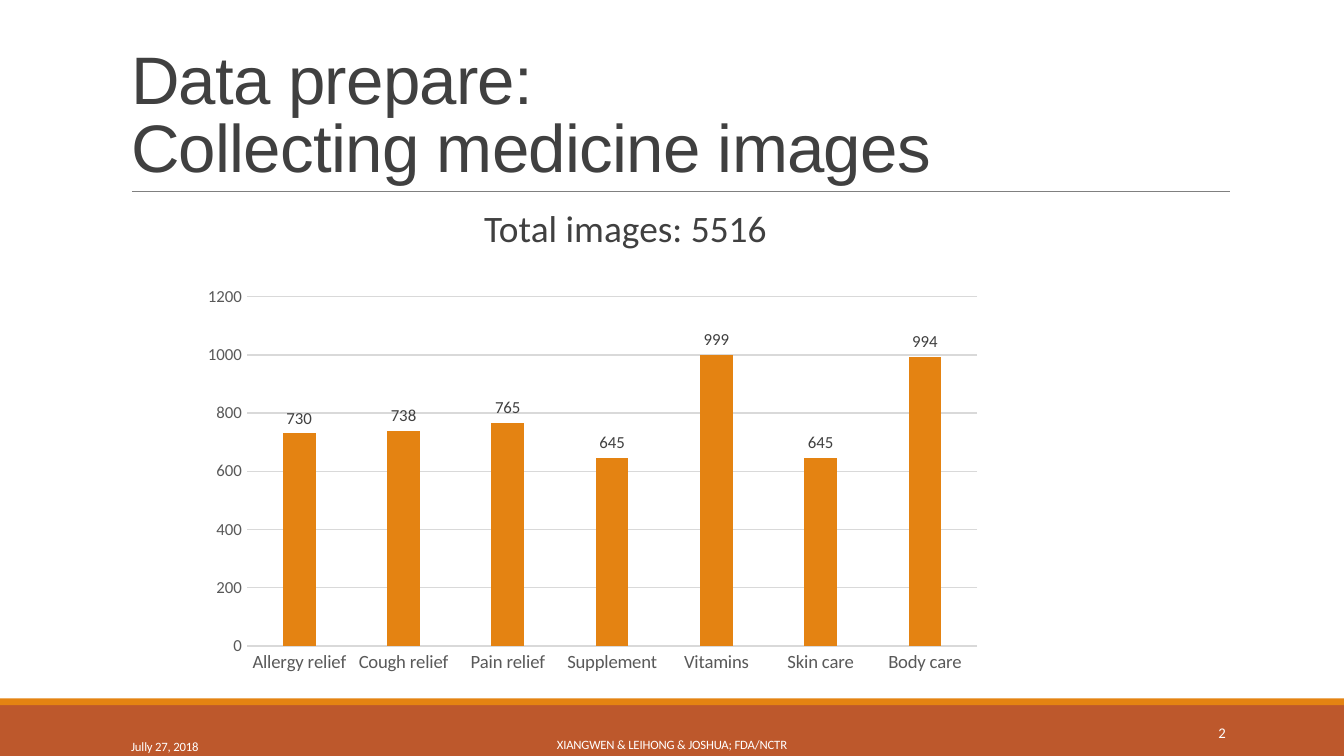
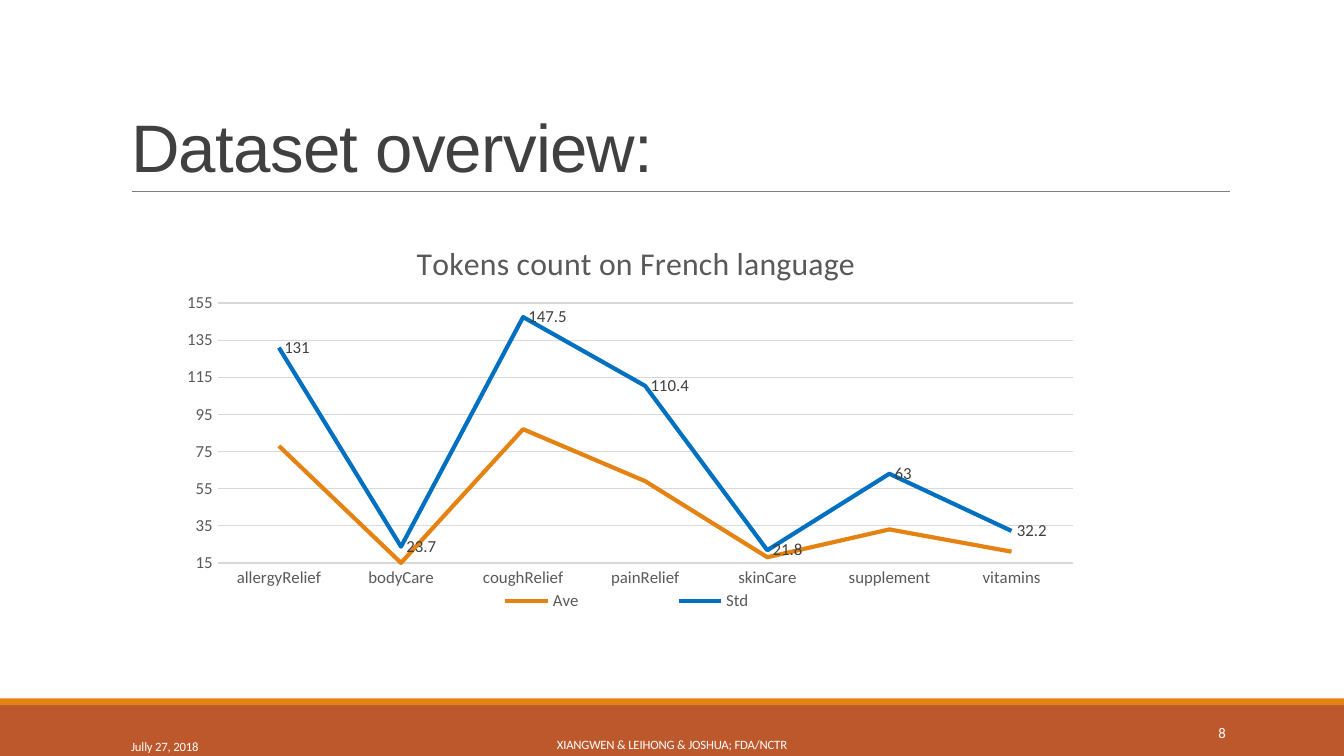
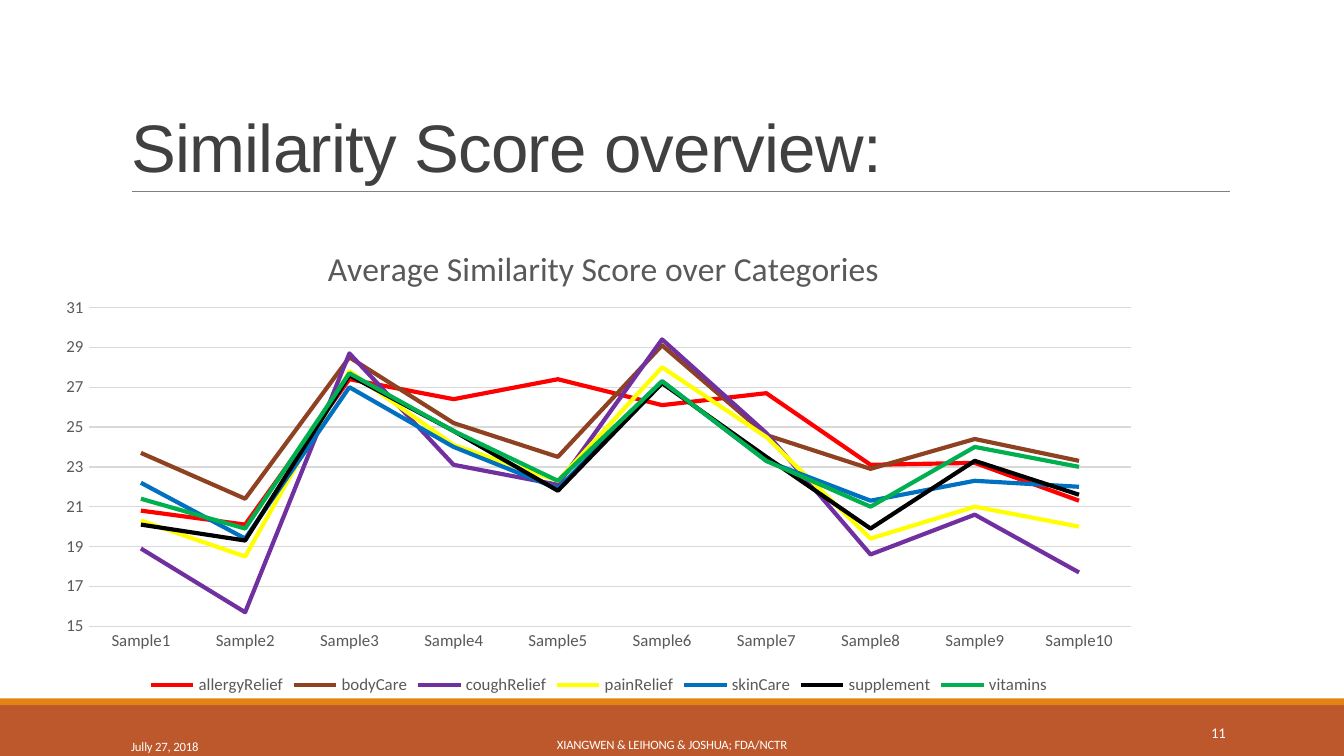
from lxml.etree import SubElement
from pptx import Presentation
from pptx.chart.data import CategoryChartData
from pptx.dml.color import RGBColor
from pptx.enum.chart import XL_CHART_TYPE, XL_LABEL_POSITION, XL_LEGEND_POSITION, XL_TICK_MARK
from pptx.enum.shapes import MSO_CONNECTOR, MSO_SHAPE
from pptx.enum.text import MSO_ANCHOR, PP_ALIGN
from pptx.oxml import parse_xml
from pptx.oxml.ns import nsdecls, qn
from pptx.util import Cm, Pt

COLORS = {
    "band": "BD582C", "accent": "E48312", "rule": "808080", "dark": "404040",
    "axis": "595959", "grid": "D9D9D9", "white": "FFFFFF", "red": "FF0000",
    "brown": "8E4221", "purple": "7030A0", "yellow": "FFFF00", "blue": "0070C0",
    "black": "000000", "green": "00B050",
}
BODY = "Calibri"
HEADING = "Arial"
DATE = "Jully 27, 2018"
AUTHORS = "XIANGWEN & LEIHONG & JOSHUA; FDA/NCTR"

SLIDES = [
    {
        "title": "Data prepare:\nCollecting medicine images",
        "number": "2",
        "total": "Total images: 5516",
        "chart": {
            "type": XL_CHART_TYPE.COLUMN_CLUSTERED,
            "at": (3.61, 5.23, 15.16, 7.59),
            "plot": (0.07, 0.05, 0.91, 0.87),
            "scale": (0, 1200, 200),
            "category_size": 10,
            "categories": ["Allergy relief", "Cough relief", "Pain relief", "Supplement",
                           "Vitamins", "Skin care", "Body care"],
            "series": [("Series 1", "accent", [730, 738, 765, 645, 999, 645, 994])],
            "labelled": {"Series 1": XL_LABEL_POSITION.OUTSIDE_END},
        },
    },
    {
        "title": "Dataset overview:",
        "number": "8",
        "chart": {
            "type": XL_CHART_TYPE.LINE,
            "at": (3.25, 3.96, 17.37, 8.05),
            "plot": (0.05, 0.22, 0.93, 0.61),
            "scale": (15, 155, 20),
            "category_size": 9,
            "title": ("Tokens count on French language", 17, (0.26, 0.06)),
            "legend": (0.26, 0.88, 0.47, 0.08),
            "categories": ["allergyRelief", "bodyCare", "coughRelief", "painRelief",
                           "skinCare", "supplement", "vitamins"],
            "series": [
                ("Ave", "accent", [78, 15, 87, 59, 18, 33, 21]),
                ("Std", "blue", [131, 23.7, 147.5, 110.4, 21.8, 63, 32.2]),
            ],
            "labelled": {"Std": XL_LABEL_POSITION.RIGHT},
        },
    },
    {
        "title": "Similarity Score overview:",
        "number": "11",
        "chart": {
            "type": XL_CHART_TYPE.LINE,
            "at": (0.84, 3.96, 20.96, 9.27),
            "plot": (0.04, 0.2, 0.94, 0.65),
            "scale": (15, 31, 2),
            "category_size": 9,
            "title": ("Average Similarity Score over Categories", 18, (0.25, 0.06)),
            "categories": [f"Sample{i}" for i in range(1, 11)],
            "series": [
                ("allergyRelief", "red", [20.8, 20.1, 27.4, 26.4, 27.4, 26.1, 26.7, 23.1, 23.2, 21.3]),
                ("bodyCare", "brown", [23.7, 21.4, 28.5, 25.2, 23.5, 29.1, 24.6, 22.9, 24.4, 23.3]),
                ("coughRelief", "purple", [18.9, 15.7, 28.7, 23.1, 22.1, 29.4, 24.7, 18.6, 20.6, 17.7]),
                ("painRelief", "yellow", [20.3, 18.5, 27.8, 24.1, 22.3, 28, 24.5, 19.4, 21, 20]),
                ("skinCare", "blue", [22.2, 19.4, 27, 24, 21.9, 27.3, 23.3, 21.3, 22.3, 22]),
                ("supplement", "black", [20.1, 19.3, 27.6, 24.8, 21.8, 27.2, 23.5, 19.9, 23.3, 21.6]),
                ("vitamins", "green", [21.4, 19.9, 27.7, 24.8, 22.3, 27.3, 23.3, 21, 24, 23]),
            ],
            "labelled": {},
        },
    },
]


def rgb(name):
    return RGBColor.from_string(COLORS[name])


def set_font(font, size, color, name=BODY):
    font.size, font.name, font.bold = Pt(size), name, False
    font.color.rgb = rgb(color)


def add_text(s, text, at, size, color="white", name=BODY, anchor=MSO_ANCHOR.MIDDLE,
             align=PP_ALIGN.LEFT, line=None, spacing=0, margins=(0.19, 0.1, 0.19, 0.1)):
    tf = s.shapes.add_textbox(*map(Cm, at)).text_frame
    tf.word_wrap = True
    tf.vertical_anchor = anchor
    tf.margin_left, tf.margin_top, tf.margin_right, tf.margin_bottom = map(Cm, margins)
    p = tf.paragraphs[0]
    p.text = text
    p.alignment = align
    if line:
        p.line_spacing = line
    set_font(p.font, size, color, name)
    if spacing:
        for r in p.runs:
            r.font._element.set("spc", str(spacing))
    return p


def add_band(s, top, height, color):
    sp = s.shapes.add_shape(MSO_SHAPE.RECTANGLE, 0, Cm(top), Cm(25.4), Cm(height))
    sp.shadow.inherit = False
    sp.fill.solid()
    sp.fill.fore_color.rgb = rgb(color)
    sp.line.fill.background()


def add_frame(s, title, number):
    add_band(s, 13.33, 0.96, "band")
    add_band(s, 13.2, 0.13, "accent")
    rule = s.shapes.add_connector(MSO_CONNECTOR.STRAIGHT, Cm(2.49), Cm(3.62), Cm(23.24), Cm(3.62))
    rule.line.color.rgb = rgb("rule")
    rule.line.width = Pt(0.5)
    SubElement(rule._element.spPr, qn("a:effectLst"))
    add_text(s, title, (2.29, 0.61, 20.96, 3.02), 36, "dark", HEADING,
             MSO_ANCHOR.BOTTOM, line=0.85, spacing=-40)
    add_text(s, DATE, (2.29, 13.46, 5.16, 0.76), 6.8, line=Pt(23.1), spacing=-10)
    add_text(s, AUTHORS, (7.67, 13.46, 10.06, 0.76), 6.8, align=PP_ALIGN.CENTER,
             line=Pt(20.9), spacing=-10)
    add_text(s, number, (20.62, 13.46, 2.74, 0.76), 7.9, align=PP_ALIGN.RIGHT)


def set_layout(element, index, fractions, inner=False):
    for old in element.findall(qn("c:layout")):
        element.remove(old)
    target = '<c:layoutTarget val="inner"/>' if inner else ""
    modes = "".join(f'<c:{k}Mode val="edge"/>' for k in "xy")
    values = "".join(f'<c:{k} val="{v}"/>' for k, v in zip("xywh", fractions))
    element.insert(index, parse_xml(
        f'<c:layout {nsdecls("c")}><c:manualLayout>{target}{modes}{values}</c:manualLayout></c:layout>'))


def style_axes(chart, spec):
    category, value = chart.category_axis, chart.value_axis
    for axis, size in ((category, spec["category_size"]), (value, 9)):
        axis.major_tick_mark = axis.minor_tick_mark = XL_TICK_MARK.NONE
        set_font(axis.tick_labels.font, size, "axis")
    value.minimum_scale, value.maximum_scale, value.major_unit = spec["scale"]
    value.has_major_gridlines = True
    for line in (category.format.line, value.major_gridlines.format.line):
        line.color.rgb = rgb("grid")
        line.width = Pt(0.75)
    value.format.line.fill.background()


def style_series(plot, spec):
    plot.vary_by_categories = False
    is_line = spec["type"] == XL_CHART_TYPE.LINE
    if not is_line:
        plot.gap_width, plot.overlap = 219, -27
    for series, (name, color, _) in zip(plot.series, spec["series"]):
        if is_line:
            series.smooth = False
            series.format.line.color.rgb = rgb(color)
            series.format.line.width = Pt(2.25)
        else:
            series.format.fill.solid()
            series.format.fill.fore_color.rgb = rgb(color)
        if name in spec["labelled"]:
            labels = series.data_labels
            labels.show_value = True
            labels.position = spec["labelled"][name]
            set_font(labels.font, 9, "dark")


def add_chart(s, spec):
    data = CategoryChartData()
    data.categories = spec["categories"]
    for name, _, values in spec["series"]:
        data.add_series(name, values)
    chart = s.shapes.add_chart(spec["type"], *map(Cm, spec["at"]), data).chart
    set_font(chart.font, 10, "black")
    style_axes(chart, spec)
    style_series(chart.plots[0], spec)
    set_layout(chart._chartSpace.chart.plotArea, 0, spec["plot"], inner=True)
    chart.has_title = chart.has_legend = "title" in spec
    if not chart.has_title:
        return
    text, size, place = spec["title"]
    p = chart.chart_title.text_frame.paragraphs[0]
    p.text = text
    set_font(p.font, size, "axis")
    set_layout(chart.chart_title._element, 1, place)
    chart.legend.position = XL_LEGEND_POSITION.BOTTOM
    chart.legend.include_in_layout = False
    set_font(chart.legend.font, 9, "axis")
    if "legend" in spec:
        set_layout(chart.legend._element, 1, spec["legend"])


def main():
    prs = Presentation()
    prs.slide_width, prs.slide_height = Cm(25.4), Cm(14.29)
    for content in SLIDES:
        s = prs.slides.add_slide(prs.slide_layouts[6])
        add_frame(s, content["title"], content["number"])
        if "total" in content:
            p = add_text(s, content["total"], (2.29, 3.84, 20.96, 8.38), 20, "dark",
                         anchor=MSO_ANCHOR.TOP, line=0.9, margins=(6.86, 0.13, 0, 0.13))
            p.space_before, p.space_after = Pt(9), Pt(1.5)
        add_chart(s, content["chart"])
    prs.save("out.pptx")


if __name__ == "__main__":
    main()
